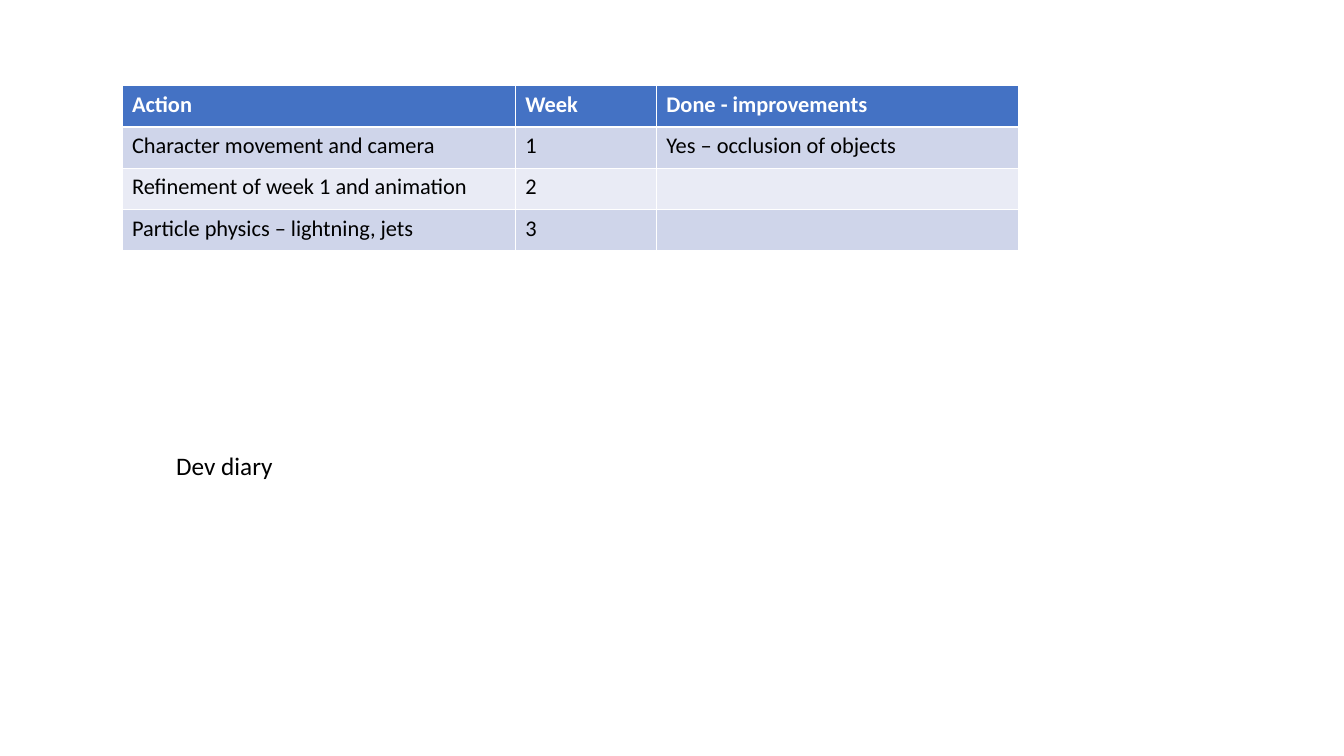
from pptx import Presentation
from pptx.dml.color import RGBColor
from pptx.enum.text import MSO_AUTO_SIZE
from pptx.util import Inches, Pt

BLACK = RGBColor(0x00, 0x00, 0x00)
WHITE = RGBColor(0xFF, 0xFF, 0xFF)
HEADER_BLUE = RGBColor(0x44, 0x72, 0xC4)
BANDS = [RGBColor(0xE9, 0xEB, 0xF5), RGBColor(0xCF, 0xD5, 0xEA)]

COLUMN_WIDTHS = [3.9, 1.4, 3.59]
ROW_HEIGHT = 0.41
PLAN = [
    ("Action", "Week", "Done - improvements"),
    ("Character movement and camera", "1", "Yes – occlusion of objects"),
    ("Refinement of week 1 and animation", "2", ""),
    ("Particle physics – lightning, jets", "3", ""),
]


def style_text(paragraph, size, color, bold=False):
    """Set the font of a whole paragraph."""
    font = paragraph.font
    font.name = "Calibri"
    font.size = Pt(size)
    font.bold = bold
    font.color.rgb = color


presentation = Presentation()
presentation.slide_width = Inches(13.33)
presentation.slide_height = Inches(7.5)
slide = presentation.slides.add_slide(presentation.slide_layouts[6])

# Weekly plan; the default table style supplies the white borders
plan = slide.shapes.add_table(
    len(PLAN), len(COLUMN_WIDTHS), Inches(1.21), Inches(0.85),
    Inches(sum(COLUMN_WIDTHS)), Inches(ROW_HEIGHT * len(PLAN))).table
for column, width in zip(plan.columns, COLUMN_WIDTHS):
    column.width = Inches(width)

for row, entries in enumerate(PLAN):
    is_header = row == 0
    for column, entry in enumerate(entries):
        cell = plan.cell(row, column)
        cell.fill.solid()
        cell.fill.fore_color.rgb = HEADER_BLUE if is_header else BANDS[row % 2]
        cell.text = entry
        style_text(cell.text_frame.paragraphs[0], 16,
                   WHITE if is_header else BLACK, bold=is_header)

# Caption
diary = slide.shapes.add_textbox(
    Inches(1.65), Inches(4.42), Inches(1.17), Inches(0.4)).text_frame
diary.word_wrap = False
diary.auto_size = MSO_AUTO_SIZE.SHAPE_TO_FIT_TEXT
diary.text = "Dev diary"
style_text(diary.paragraphs[0], 18, BLACK)

presentation.save("out.pptx")
